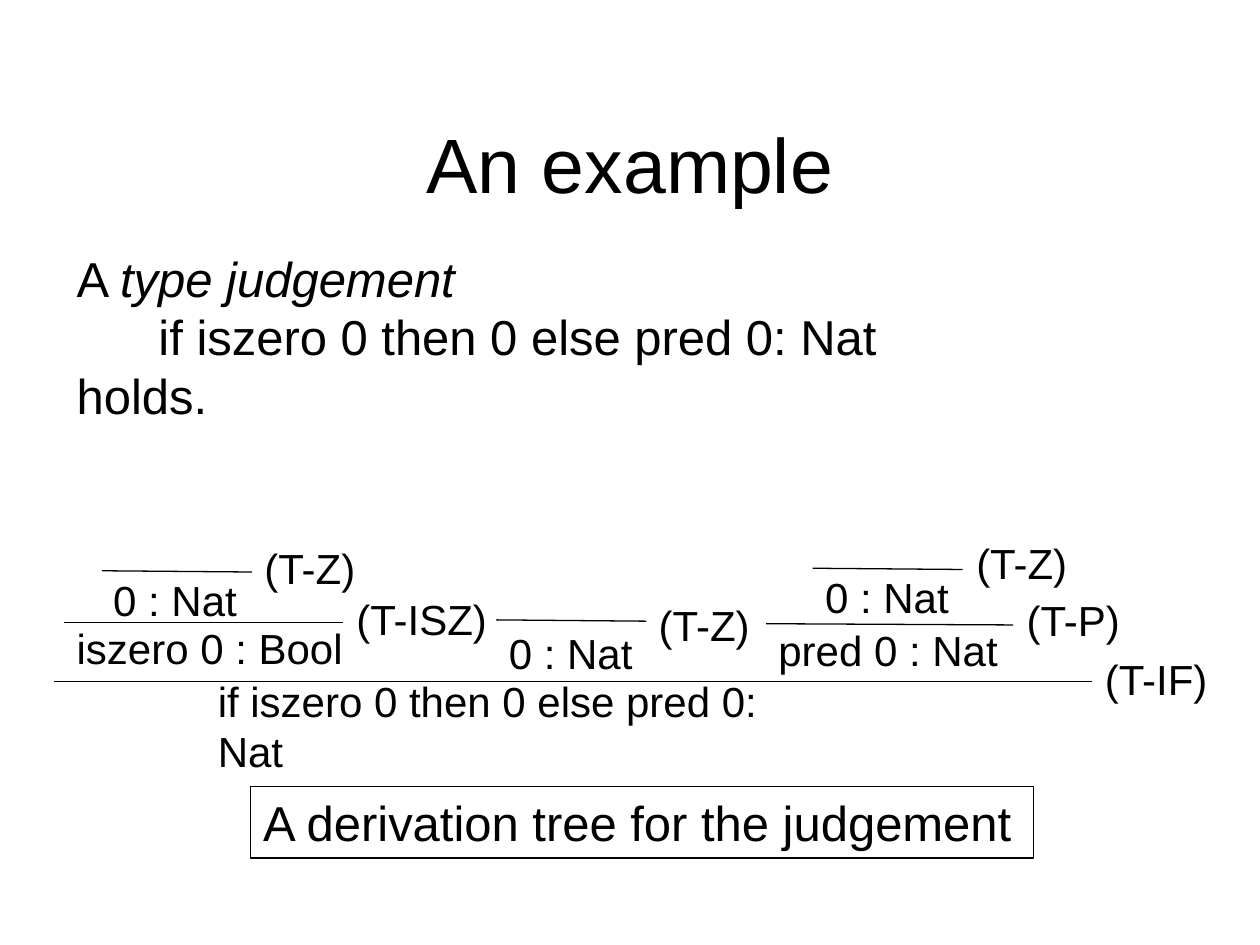
from lxml.etree import SubElement
from pptx import Presentation
from pptx.dml.color import RGBColor
from pptx.enum.shapes import MSO_CONNECTOR, MSO_SHAPE
from pptx.enum.text import MSO_ANCHOR, PP_ALIGN
from pptx.oxml.ns import qn
from pptx.util import Inches, Pt

COLORS = {"ink": "000000", "paper": "FFFFFF"}
FONT = "Arial"
TREE_ROW_HEIGHT = 0.5

# Each inference: judgement, its (left, top, width), bar (start, end), rule name, its (left, top, width)
INFERENCES = [
    ("0 : Nat", (0.8, 4.51, 1.19), ((0.81, 4.53), (2, 4.54)), "(T-Z)", (2, 4.26, 0.93)),
    ("iszero 0 : Bool", (0.51, 4.89, 2.34), ((0.51, 4.94), (2.72, 4.94)), "(T-ISZ)", (2.73, 4.66, 1.25)),
    ("0 : Nat", (3.94, 4.93, 1.19), ((3.94, 4.92), (5.13, 4.93)), "(T-Z)", (5.13, 4.71, 0.93)),
    ("0 : Nat", (6.45, 4.49, 1.19), ((6.45, 4.51), (7.64, 4.52)), "(T-Z)", (7.65, 4.22, 0.93)),
    ("pred 0 : Nat", (6.08, 4.91, 1.96), ((6.08, 4.95), (8.04, 4.96)), "(T-P)", (8.05, 4.67, 0.94)),
    ("if iszero 0 then 0 else pred 0: Nat", (1.63, 5.31, 5.08), ((0.43, 5.41), (8.67, 5.41)),
     "(T-IF)", (8.67, 5.14, 1.02)),
]


def color(name):
    """Return the named colour."""
    return RGBColor.from_string(COLORS[name])


def format_runs(text_frame, size):
    """Give every run the slide's font, ink colour and a size."""
    for paragraph in text_frame.paragraphs:
        for run in paragraph.runs:
            run.font.name = FONT
            run.font.size = Pt(size)
            run.font.color.rgb = color("ink")


def set_title(slide, text):
    """Place and format the title placeholder."""
    title = slide.shapes.title
    title.left, title.top = Inches(0.75), Inches(0.67)
    title.width, title.height = Inches(8.5), Inches(1.25)
    title.text_frame.text = text
    title.text_frame.vertical_anchor = MSO_ANCHOR.MIDDLE
    title.text_frame.paragraphs[0].alignment = PP_ALIGN.CENTER
    format_runs(title.text_frame, 44)


def add_text(slide, text, left, top, width, height=TREE_ROW_HEIGHT, size=24):
    """Add an unwrapped text box and return its text frame."""
    box = slide.shapes.add_textbox(Inches(left), Inches(top), Inches(width), Inches(height))
    text_frame = box.text_frame
    text_frame.text = text
    text_frame.word_wrap = False
    format_runs(text_frame, size)
    return text_frame


def add_statement(slide):
    """Add the claim, with its judgement indented and its term in italics."""
    text_frame = add_text(
        slide, "A \nif iszero 0 then 0 else pred 0: Nat\nholds.", 0.51, 1.92, 6.63, 1.51, 28)
    opening, judgement, _ = text_frame.paragraphs
    term = opening.add_run()
    term.text = "type judgement"
    term.font.italic = True
    judgement._p.get_or_add_pPr().set("marL", str(Inches(0.65)))
    format_runs(text_frame, 28)


def add_bar(slide, start, end):
    """Add the line between premises and conclusion."""
    bar = slide.shapes.add_connector(
        MSO_CONNECTOR.STRAIGHT, *(Inches(value) for value in (*start, *end)))
    bar.line.color.rgb = color("ink")
    bar.line.width = Pt(0.75)
    SubElement(bar._element.spPr, qn("a:effectLst"))


def add_caption(slide, text):
    """Add the framed caption below the tree."""
    shape = slide.shapes.add_shape(
        MSO_SHAPE.RECTANGLE, Inches(1.99), Inches(6.24), Inches(6.21), Inches(0.57))
    shape.shadow.inherit = False
    shape.fill.background()
    shape.line.color.rgb = color("ink")
    shape.line.width = Pt(0.75)
    text_frame = shape.text_frame
    text_frame.text = text
    text_frame.word_wrap = True
    text_frame.vertical_anchor = MSO_ANCHOR.MIDDLE
    text_frame.paragraphs[0].alignment = PP_ALIGN.LEFT
    format_runs(text_frame, 28)


def main():
    """Build the slide with the derivation tree."""
    presentation = Presentation()
    presentation.slide_width, presentation.slide_height = Inches(10), Inches(7.5)
    slide = presentation.slides.add_slide(presentation.slide_layouts[5])
    slide.background.fill.solid()
    slide.background.fill.fore_color.rgb = color("paper")
    set_title(slide, "An example")
    add_statement(slide)
    for judgement, judgement_place, bar, rule, rule_place in INFERENCES:
        add_text(slide, judgement, *judgement_place)
        add_bar(slide, *bar)
        add_text(slide, rule, *rule_place)
    add_caption(slide, "A derivation tree for the judgement")
    presentation.save("out.pptx")


if __name__ == "__main__":
    main()
